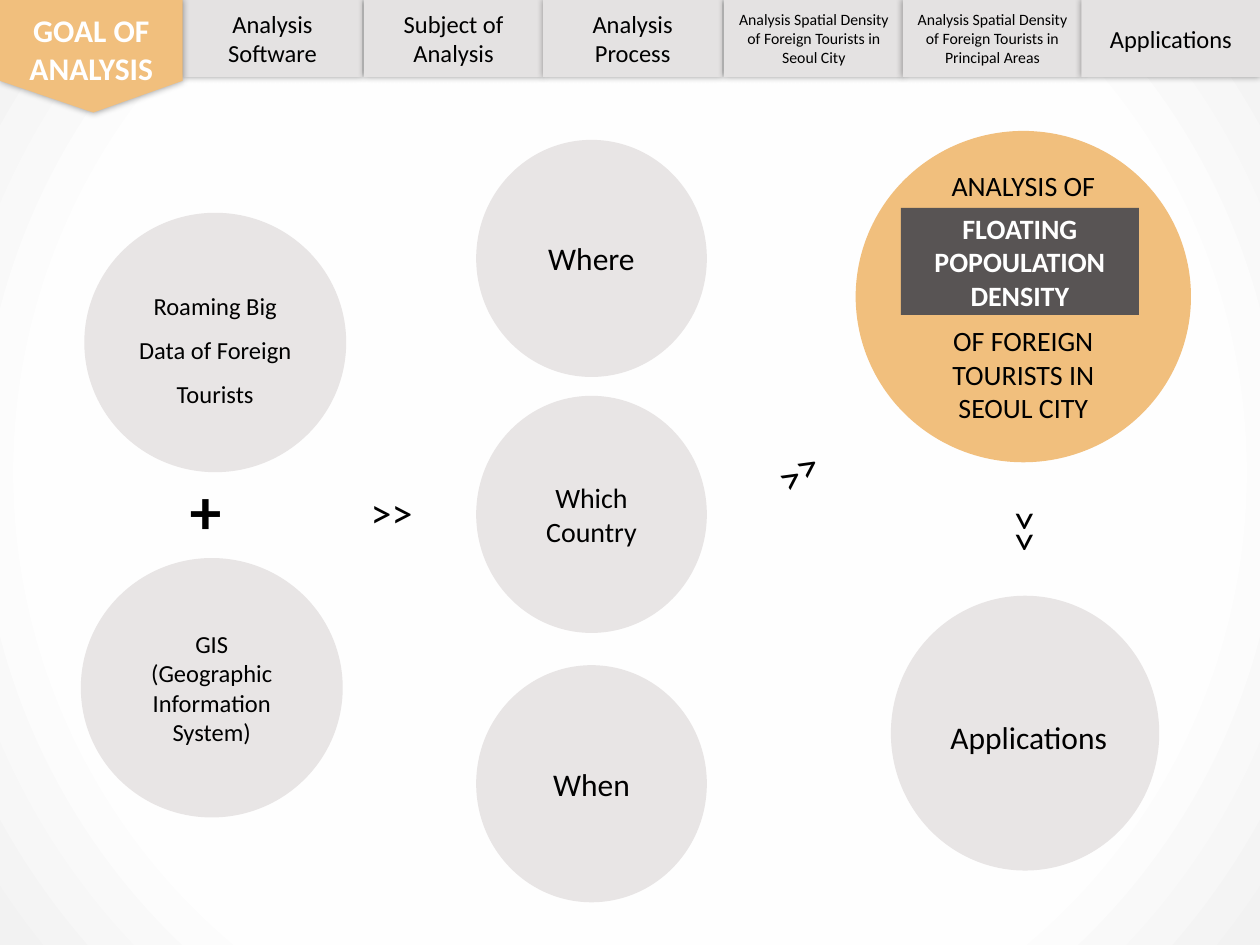
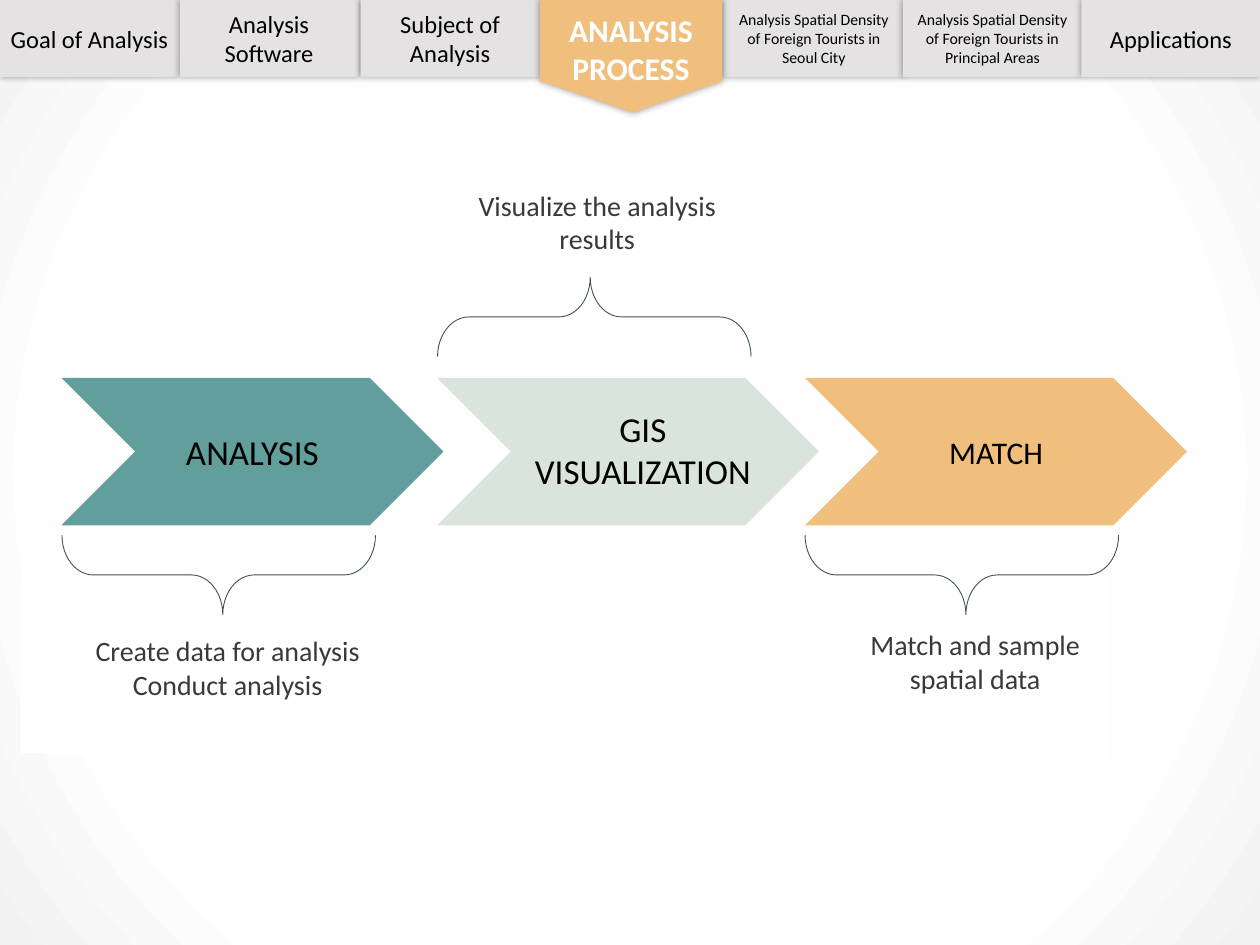
from pptx import Presentation
from pptx.dml.color import RGBColor as Rgb
from pptx.enum.shapes import MSO_SHAPE as Kind
from pptx.enum.text import MSO_ANCHOR as Anchor, PP_ALIGN as Align
from pptx.oxml import parse_xml
from pptx.oxml.ns import nsdecls, qn
from pptx.util import Cm, Pt

HUES = {
    "black": "000000", "white": "FFFFFF", "tab": "E4E2E2", "disc": "E8E5E5",
    "gold": "F1BF7D", "dark": "585454", "teal": "629E9C", "mint": "D8E4DC",
    "note": "3B3838", "brace": "3F5059", "glow": "FEFEFE", "edge": "F2F2F2",
}
FONT = "Calibri"
TABS = [
    ("Goal of Analysis", 14), ("Analysis Software", 14),
    ("Subject of Analysis", 14), ("Analysis Process", 14),
    ("Analysis Spatial Density of Foreign Tourists in Seoul City", 9),
    ("Analysis Spatial Density of Foreign Tourists in Principal Areas", 9),
    ("Applications", 14),
]
SPOTS = [0, 3.62, 7.27, 10.88, 14.6, 18.2, 21.8]
SHIFT = 0.07
TAB_W, TAB_H = 3.61, 1.55
FLAG_W, FLAG_H, TIP_X, TIP_Y = 3.68, 1.63, 1.88, 2.27
MARK = (1.93, 1.27)


def hue(name):
    return Rgb.from_string(HUES[name])


class Deck:
    def __init__(self):
        self.prs = Presentation()
        self.prs.slide_width, self.prs.slide_height = Cm(25.4), Cm(19.05)
        self.slide = None

    def page(self, now):
        """Start a slide with the shared backdrop and the tab row, tab `now` raised."""
        self.slide = self.prs.slides.add_slide(self.prs.slide_layouts[6])
        fill = self.slide.background.fill
        fill.gradient()
        for stop, (name, place) in zip(fill.gradient_stops, [("glow", 0.74), ("edge", 1)]):
            stop.color.rgb, stop.position = hue(name), place
        grad = self.slide.element.find(".//" + qn("a:gradFill"))
        grad.replace(grad.find(qn("a:lin")), parse_xml(
            f'<a:path {nsdecls("a")} path="circle">'
            '<a:fillToRect l="50000" t="50000" r="50000" b="50000"/></a:path>'))
        for i, (label, size) in enumerate(TABS):
            if i != now:
                left = SPOTS[i] + (SHIFT if now < i < 4 else 0)
                tab = self.block(Kind.RECTANGLE, (left, 0, TAB_W, TAB_H), "tab",
                                 label, size, inset=(0.18, 0.1))
                self.shade(tab)
        self.flag(SPOTS[now], TABS[now][0].upper())

    def flag(self, left, label):
        right = left + FLAG_W
        pen = self.slide.shapes.build_freeform(Cm(left), 0)
        pen.add_line_segments([(Cm(x), Cm(y)) for x, y in [
            (right, 0), (right, FLAG_H), (left + TIP_X, TIP_Y), (left, FLAG_H)]])
        shape = pen.convert_to_shape()
        self.paint(shape, "gold")
        self.shade(shape)
        self.label((left, 0.1, FLAG_W, 1.8), label, 18, color="white", bold=True)

    def paint(self, shape, fill):
        shape.shadow.inherit = False
        shape.fill.solid()
        shape.fill.fore_color.rgb = hue(fill)
        shape.line.fill.background()

    def shade(self, shape):
        shape.element.spPr.find(qn("a:effectLst")).append(parse_xml(
            f'<a:outerShdw {nsdecls("a")} blurRad="50800" dist="0" dir="2700000">'
            f'<a:srgbClr val="{HUES["black"]}"><a:alpha val="40000"/></a:srgbClr>'
            '</a:outerShdw>'))

    def block(self, kind, box, fill, text="", size=14, inset=(0.25, 0.13), **look):
        shape = self.slide.shapes.add_shape(kind, *map(Cm, box))
        self.paint(shape, fill)
        if text:
            self.typeset(shape.text_frame, text, size, Anchor.MIDDLE, inset, **look)
        return shape

    def label(self, box, text, size, turn=0, **look):
        shape = self.slide.shapes.add_textbox(*map(Cm, box))
        shape.rotation = turn
        self.typeset(shape.text_frame, text, size, Anchor.TOP, **look)

    def typeset(self, frame, text, size, anchor, inset=(0.25, 0.13), color="black",
                bold=False, align=Align.CENTER, lines=1, gap=0):
        """Fill a frame, one paragraph a line; gap is the space between them in points."""
        wide, high = map(Cm, inset)
        form = {"word_wrap": True, "vertical_anchor": anchor, "margin_left": wide,
                "margin_right": wide, "margin_top": high, "margin_bottom": high}
        for key, val in form.items():
            setattr(frame, key, val)
        for i, line in enumerate(text.split("\n")):
            para = frame.paragraphs[0] if i == 0 else frame.add_paragraph()
            para.alignment, para.line_spacing = align, lines
            if i and gap:
                para.space_before = Pt(gap)
            run = para.add_run()
            run.text = line
            for key, val in {"name": FONT, "size": Pt(size), "bold": bold}.items():
                setattr(run.font, key, val)
            run.font.color.rgb = hue(color)

    def disc(self, box, text="", size=14, fill="disc", **look):
        self.block(Kind.OVAL, box, fill, text, size, **look)

    def brace(self, left, top, turn):
        shape = self.slide.shapes.add_shape(
            Kind.LEFT_BRACE, Cm(left), Cm(top), Cm(1.6), Cm(6.32))
        shape.shadow.inherit = False
        shape.fill.background()
        shape.line.color.rgb, shape.line.width = hue("brace"), Pt(0.5)
        shape.adjustments[0], shape.adjustments[1] = 0.395, 0.513
        shape.rotation = turn


def goal(deck):
    deck.page(0)
    deck.disc((1.7, 4.29, 5.28, 5.23), "Roaming Big Data of Foreign Tourists", lines=1.5)
    deck.label((3.58, 9.37, 2.03, 1.8), "+", 36, bold=True, align=Align.LEFT)
    deck.disc((1.63, 11.25, 5.28, 5.23), "GIS\n(Geographic Information System)")
    for top, text, size in [(2.82, "Where", 18), (7.98, "Which Country", 16),
                            (13.41, "When", 18)]:
        deck.disc((9.6, top, 4.65, 4.78), text, size)
    deck.disc((17.25, 2.64, 6.76, 6.68),
              "ANALYSIS OF\nOF FOREIGN TOURISTS IN SEOUL CITY", 16, "gold", gap=69.5)
    deck.block(Kind.RECTANGLE, (18.16, 4.19, 4.8, 2.16), "dark",
               "FLOATING POPOULATION DENSITY", 16, color="white", bold=True)
    deck.disc((17.96, 12.01, 5.41, 5.54))
    deck.block(Kind.RECTANGLE, (18.44, 14.35, 4.6, 1.02), "disc", "Applications", 18)
    for left, top, turn in [(6.93, 9.68, 0), (15.11, 8.86, 324.8), (19.76, 10.08, 90)]:
        deck.label((left, top, *MARK), ">>", 24, turn)


def process(deck):
    deck.page(3)
    for box, text in [
        ((0.41, 11.73, 8.36, 3.45), "Create data for analysis\nConduct analysis"),
        ((8.89, 2.39, 6.3, 4.17), "Visualize the analysis results"),
        ((16.97, 11.25, 5.38, 4.17), "Match and sample spatial data"),
    ]:
        deck.block(Kind.RECTANGLE, box, "white", text, 16, color="note")
    for left, fill, text, size in [(1.24, "teal", "ANALYSIS", 20), (8.81, "mint", "", 20),
                                   (16.23, "gold", "MATCH", 18)]:
        deck.block(Kind.CHEVRON, (left, 7.62, 7.7, 2.97), fill, text, size)
    deck.label((10.13, 8.08, 5.66, 1.96), "GIS\nVISUALIZATION", 20)
    for left, top, turn in [(3.61, 8.43, 270), (11.18, 3.23, 90), (18.59, 8.43, 270)]:
        deck.brace(left, top, turn)


def main():
    deck = Deck()
    goal(deck)
    process(deck)
    deck.prs.save("out.pptx")


if __name__ == "__main__":
    main()
